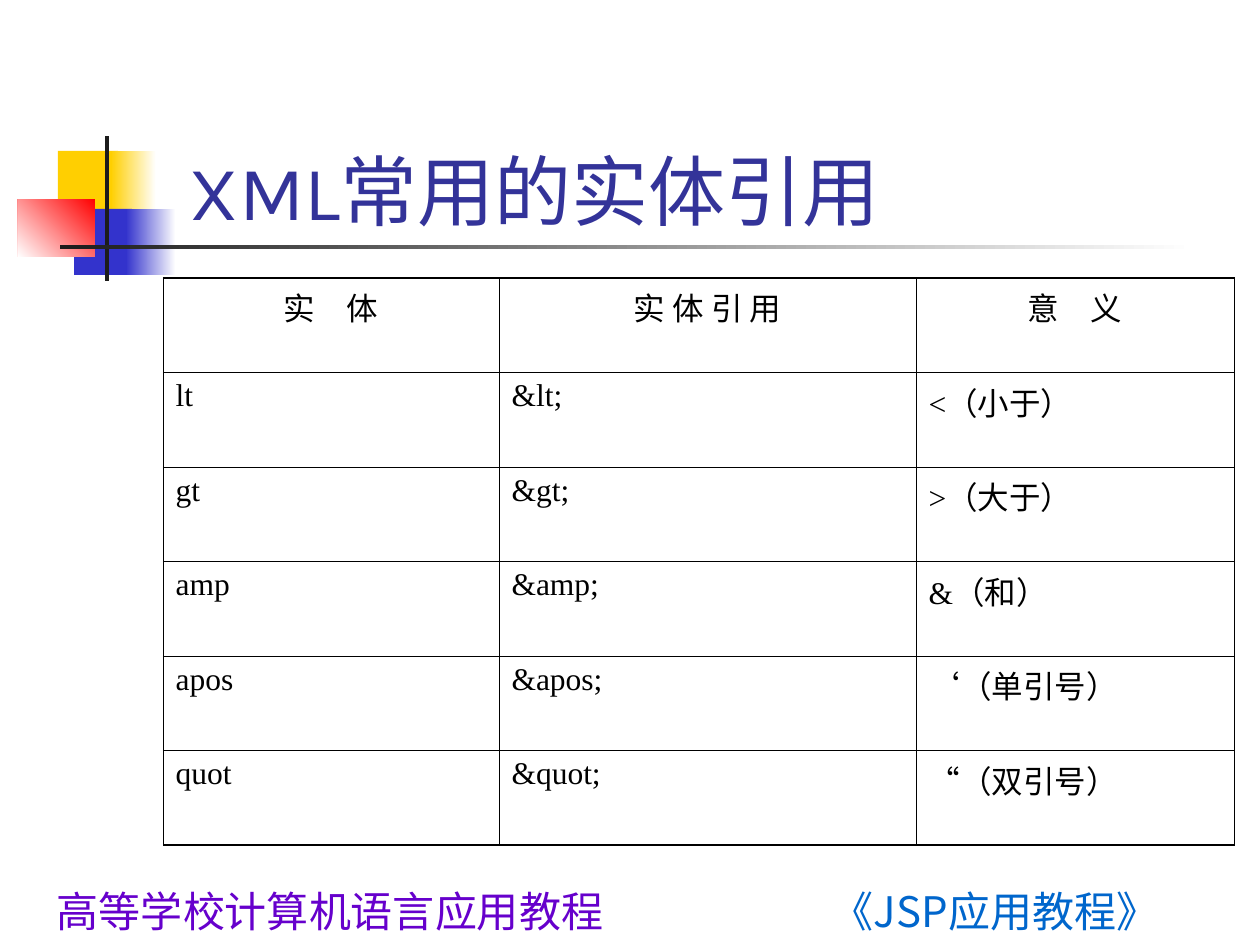
from dataclasses import dataclass
from typing import Optional

from lxml import etree
from pptx import Presentation
from pptx import util as u
from pptx.dml.color import RGBColor
from pptx.enum import shapes, text
from pptx.oxml.ns import qn

PX = u.Inches(1) / 126
CJK = "Noto Sans CJK SC"
SERIF = "Times New Roman"
BLACK = "000000"


@dataclass
class Bar:
    left: int
    top: int
    width: int
    height: int
    color: str
    fade_to: Optional[str] = None
    angle: int = 180


@dataclass
class Label:
    left: int
    top: int
    width: int
    height: int
    words: str
    size: int
    color: str
    latin: str = CJK
    wrap: bool = False
    inset: int = 13
    anchor: text.MSO_ANCHOR = text.MSO_ANCHOR.TOP


@dataclass
class Entity:
    name: str
    symbol: str
    meaning: str


ORNAMENT = [
    Bar(58, 151, 60, 66, "FFCF01"),
    Bar(111, 151, 45, 66, "FFFFFF", "FFCF01"),
    Bar(74, 209, 58, 66, "3333CC"),
    Bar(126, 209, 50, 66, "FFFFFF", "3333CC"),
    Bar(18, 199, 77, 58, "FF0000", "FFFFFF", 225),
    Bar(105, 136, 4, 145, "1C1C1C"),
    Bar(60, 245, 1134, 4, "FFFFFF", "1C1C1C"),
]
LABELS = [
    Label(819, 879, 441, 35, "《JSP应用教程》", 24, "0066CC"),
    Label(44, 879, 635, 66, "高等学校计算机语言应用教程", 24, "6600CC"),
    Label(159, 84, 1074, 158, "XML常用的实体引用", 44, "333399", "Karla",
          True, 31, text.MSO_ANCHOR.BOTTOM),
]
HEADINGS = ["实　体", "实 体 引 用", "意　义"]
ENTITIES = [
    Entity("lt", "<", "（小于）"),
    Entity("gt", ">", "（大于）"),
    Entity("amp", "&", "（和）"),
    Entity("apos", "‘", "（单引号）"),
    Entity("quot", "“", "（双引号）"),
]
COLUMN_WIDTHS = [336, 417, 318]


def px(length: int) -> int:
    return round(length * PX)


def rgb(color: str) -> RGBColor:
    return RGBColor.from_string(color)


def style_run(run, size: int, color: str, latin: str) -> None:
    run.font.size = u.Pt(size)
    run.font.color.rgb = rgb(color)
    run.font.name = latin
    east_asian = etree.SubElement(run.font._element, qn("a:ea"))
    east_asian.set("typeface", CJK)


def draw_bar(slide, bar: Bar) -> None:
    block = slide.shapes.add_shape(
        shapes.MSO_SHAPE.RECTANGLE,
        px(bar.left), px(bar.top), px(bar.width), px(bar.height))
    block.shadow.inherit = False
    block.line.fill.background()
    if bar.fade_to is None:
        block.fill.solid()
        block.fill.fore_color.rgb = rgb(bar.color)
        return
    block.fill.gradient()
    block.fill.gradient_angle = bar.angle
    for stop, color in zip(block.fill.gradient_stops, (bar.color, bar.fade_to)):
        stop.color.rgb = rgb(color)


def draw_label(slide, label: Label) -> None:
    frame = slide.shapes.add_textbox(
        px(label.left), px(label.top), px(label.width), px(label.height)).text_frame
    frame.word_wrap = label.wrap
    frame.vertical_anchor = label.anchor
    frame.margin_left = px(label.inset)
    frame.text = label.words
    style_run(frame.paragraphs[0].runs[0], label.size, label.color, label.latin)


def draw_border(cell, side: str, width: float) -> None:
    edge = etree.SubElement(cell._tc.get_or_add_tcPr(), qn(f"a:{side}"))
    edge.set("w", str(u.Pt(width)))
    paint = etree.SubElement(edge, qn("a:solidFill"))
    etree.SubElement(paint, qn("a:srgbClr")).set("val", BLACK)


def fill_cell(cell, parts: list[tuple[str, str]], centered: bool) -> None:
    paragraph = cell.text_frame.paragraphs[0]
    if centered:
        paragraph.alignment = text.PP_ALIGN.CENTER
    for words, latin in parts:
        run = paragraph.add_run()
        run.text = words
        style_run(run, 18, BLACK, latin)


def draw_entity_table(slide) -> None:
    rows = [[[(heading, CJK)] for heading in HEADINGS]]
    for entity in ENTITIES:
        rows.append([
            [(entity.name, SERIF)],
            [(f"&{entity.name};", SERIF)],
            [(entity.symbol, SERIF), (entity.meaning, CJK)],
        ])
    table = slide.shapes.add_table(
        len(rows), len(COLUMN_WIDTHS),
        px(163), px(278), px(sum(COLUMN_WIDTHS)), px(567)).table
    table.first_row = False
    table.horz_banding = False
    for column, width in zip(table.columns, COLUMN_WIDTHS):
        column.width = px(width)
    last_row, last_column = len(rows) - 1, len(COLUMN_WIDTHS) - 1
    for r, row in enumerate(rows):
        for c, parts in enumerate(row):
            cell = table.cell(r, c)
            fill_cell(cell, parts, r == 0)
            draw_border(cell, "lnL", 0.34 if c == 0 else 0.45)
            draw_border(cell, "lnR", 0.34 if c == last_column else 0.45)
            draw_border(cell, "lnT", 0.96 if r == 0 else 0.45)
            draw_border(cell, "lnB", 0.96 if r == last_row else 0.45)
            cell.fill.background()


def main() -> None:
    deck = Presentation()
    deck.slide_width = px(1260)
    deck.slide_height = px(945)
    slide = deck.slides.add_slide(deck.slide_layouts[6])
    for bar in ORNAMENT:
        draw_bar(slide, bar)
    for label in LABELS:
        draw_label(slide, label)
    draw_entity_table(slide)
    deck.save("out.pptx")


if __name__ == "__main__":
    main()
